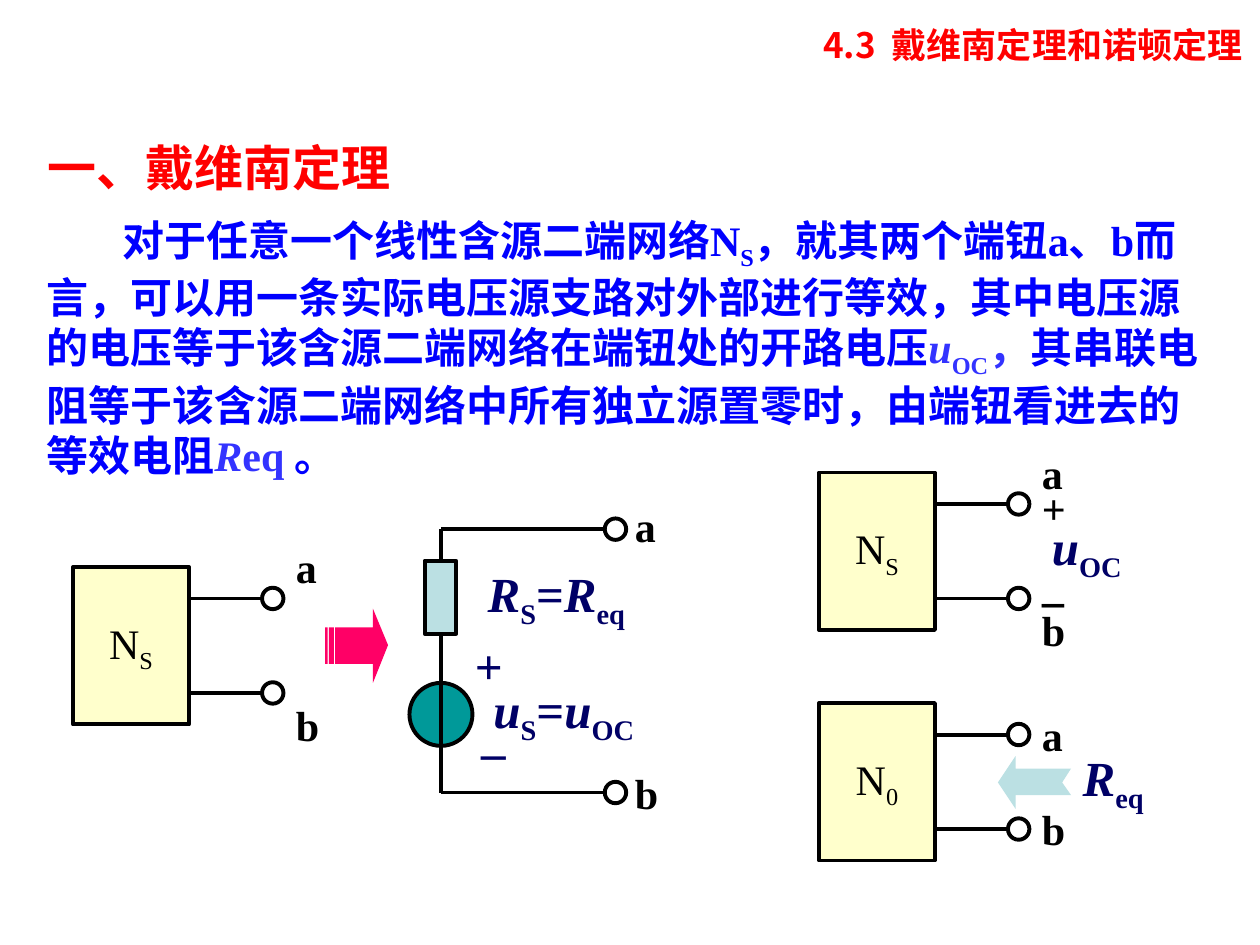
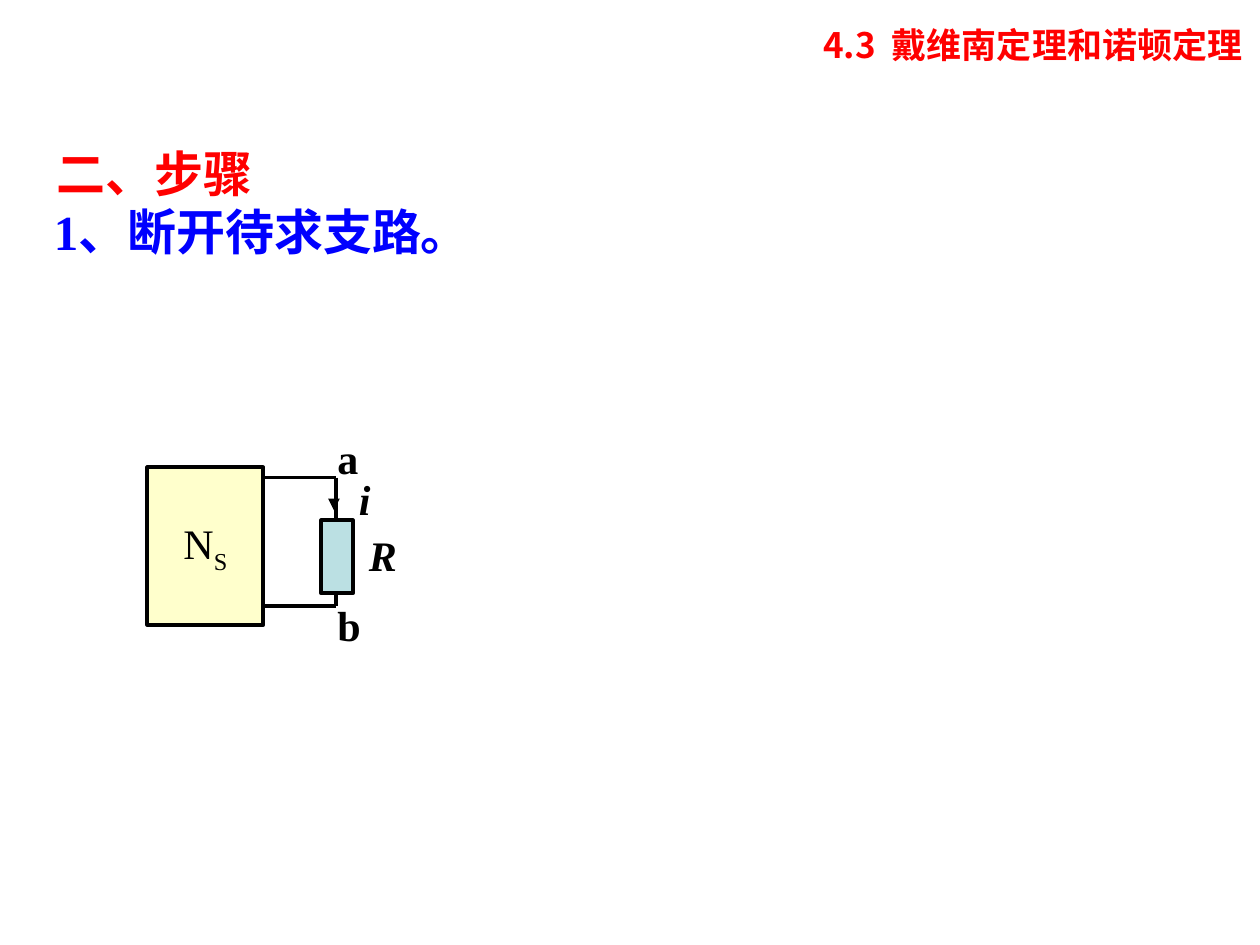
from dataclasses import dataclass
from typing import NamedTuple

from lxml import etree
from pptx import Presentation
from pptx.dml.color import RGBColor
from pptx.enum.shapes import MSO_CONNECTOR as CONNECTOR, MSO_SHAPE as SHAPE
from pptx.enum.text import MSO_ANCHOR as ANCHOR, PP_ALIGN as ALIGN
from pptx.oxml.ns import qn
from pptx.util import Inches, Pt

COLORS = {
    "black": "000000", "white": "FFFFFF", "red": "FF0000", "blue": "0000FF",
    "violet": "3333FF", "navy": "000066", "cream": "FFFFCC", "ice": "BBE0E3",
    "teal": "009999", "pink": "FF0066",
}
CJK, LATIN = "Noto Sans CJK SC", "Times New Roman"
LINE_WIDTH = Pt(2.25)
BOX_W, BOX_H = 0.92, 1.25
WIRE = 0.58
DOT = 0.17


class Box(NamedTuple):
    left: float
    top: float
    width: float
    height: float


class Style(NamedTuple):
    size: int
    color: str
    bold: bool = True
    font: str = LATIN


class Run(NamedTuple):
    text: str
    italic: bool = False
    sub: bool = False
    color: str = ""
    font: str = ""
    spacing: int = 0


@dataclass
class Network:
    """A two-terminal box; a_dy and b_dy place its labels below its top."""
    left: float
    top: float
    sub: str
    a_dy: float = -0.25
    b_dy: float = 1.0


HEADER = Style(20, "red", font=CJK)
HEADING = Style(28, "red", font=CJK)
BODY = Style(24, "blue")
STEP = Style(28, "blue")
FORMULA = Style(28, "navy")
TERMINAL = Style(24, "black")
NAME = Style(24, "black", bold=False)


def rgb(name: str) -> RGBColor:
    return RGBColor.from_string(COLORS[name])


def quantity(symbol: str, sub: str) -> list[Run]:
    return [Run(symbol, italic=True), Run(sub, sub=True)]


def add_runs(p, runs: list[Run], style: Style) -> None:
    for run in runs:
        r = p.add_run()
        r.text = run.text
        r.font.size = Pt(style.size)
        r.font.bold = style.bold
        r.font.italic = run.italic
        r.font.color.rgb = rgb(run.color or style.color)
        r.font.name = run.font or style.font
        rPr = r._r.get_or_add_rPr()
        etree.SubElement(rPr, qn("a:ea")).set("typeface", CJK)
        if run.sub:
            rPr.set("baseline", "-25000")
        if run.spacing:
            rPr.set("spc", str(run.spacing))


def add_text(slide, box: Box, runs: list[Run], style: Style, align=ALIGN.LEFT,
             anchor=ANCHOR.TOP, wrap: bool = True):
    tf = slide.shapes.add_textbox(*map(Inches, box)).text_frame
    tf.word_wrap = wrap
    tf.vertical_anchor = anchor
    p = tf.paragraphs[0]
    p.alignment = align
    add_runs(p, runs, style)
    return tf


def add_formula(slide, box: Box, runs: list[Run]) -> None:
    add_text(slide, box, runs, FORMULA, ALIGN.CENTER, ANCHOR.MIDDLE, wrap=False)


def add_label(slide, left: float, top: float, text: str, italic: bool = False):
    return add_text(slide, Box(left, top, 0.75, 0.5), [Run(text, italic)], TERMINAL)


def add_outlined(slide, kind, box: Box, fill: str):
    sp = slide.shapes.add_shape(kind, *map(Inches, box))
    sp.shadow.inherit = False
    sp.fill.solid()
    sp.fill.fore_color.rgb = rgb(fill)
    sp.line.color.rgb = rgb("black")
    sp.line.width = LINE_WIDTH
    return sp


def add_wire(slide, x1: float, y1: float, x2: float, y2: float, arrow: bool = False) -> None:
    wire = slide.shapes.add_connector(CONNECTOR.STRAIGHT, *map(Inches, (x1, y1, x2, y2)))
    wire.line.color.rgb = rgb("black")
    wire.line.width = LINE_WIDTH
    if arrow:
        etree.SubElement(wire.line._get_or_add_ln(), qn("a:tailEnd")).set("type", "triangle")
    etree.SubElement(wire._element.spPr, qn("a:effectLst"))


def add_terminal(slide, left: float, wire_y: float) -> None:
    add_outlined(slide, SHAPE.OVAL, Box(left, wire_y - DOT / 2, DOT, DOT), "white")


def add_resistor(slide, left: float, top: float) -> None:
    add_outlined(slide, SHAPE.RECTANGLE, Box(left, top, 0.25, 0.58), "ice")


def add_network_box(slide, left: float, top: float, sub: str) -> None:
    sp = add_outlined(slide, SHAPE.RECTANGLE, Box(left, top, BOX_W, BOX_H), "cream")
    tf = sp.text_frame
    tf.word_wrap = False
    tf.vertical_anchor = ANCHOR.MIDDLE
    p = tf.paragraphs[0]
    p.alignment = ALIGN.CENTER
    add_runs(p, [Run("N"), Run(sub, sub=True)], NAME)


def add_network(slide, net: Network) -> None:
    add_network_box(slide, net.left, net.top, net.sub)
    wire_x = net.left + BOX_W
    dot_x = wire_x + WIRE
    for text, wire_dy, label_dy in (("a", 0.25, net.a_dy), ("b", 1.0, net.b_dy)):
        wire_y = net.top + wire_dy
        add_wire(slide, wire_x, wire_y, dot_x, wire_y)
        add_terminal(slide, dot_x, wire_y)
        add_label(slide, dot_x + DOT, net.top + label_dy, text)


def add_outline(slide, contours: list[list[tuple[float, float]]], fill: str) -> None:
    """Draw closed contours, in slide inches, as one filled shape."""
    points = [[(Inches(x), Inches(y)) for x, y in contour] for contour in contours]
    builder = slide.shapes.build_freeform(*points[0][0])
    builder.add_line_segments(points[0][1:])
    for contour in points[1:]:
        builder.move_to(*contour[0])
        builder.add_line_segments(contour[1:])
    sp = builder.convert_to_shape()
    sp.shadow.inherit = False
    sp.fill.solid()
    sp.fill.fore_color.rgb = rgb(fill)
    sp.line.fill.background()


def add_striped_arrow(slide) -> None:
    top, bottom = 4.98, 5.27
    stripes = [[(x1, top), (x2, top), (x2, bottom), (x1, bottom)]
               for x1, x2 in ((2.58, 2.6), (2.61, 2.65))]
    head = [(2.66, top), (2.96, top), (2.96, 4.83), (3.08, 5.12),
            (2.96, 5.42), (2.96, bottom), (2.66, bottom)]
    add_outline(slide, [head, *stripes], "pink")


def add_notched_arrow(slide) -> None:
    add_outline(slide, [[(8.5, 6.1), (8.06, 6.1), (8.06, 6), (7.92, 6.21),
                         (8.06, 6.42), (8.06, 6.31), (8.5, 6.31), (8.43, 6.21)]], "ice")


def add_source_branch(slide) -> None:
    """Draw the equivalent voltage source in series with its resistor."""
    x, top, bottom, end = 3.5, 4.2, 6.29, 4.8
    add_outlined(slide, SHAPE.OVAL, Box(3.25, 5.42, 0.5, 0.5), "teal")
    add_formula(slide, Box(3.67, 4.99, 0.42, 0.57), [Run("+")])
    add_formula(slide, Box(3.72, 5.54, 0.39, 0.57), [Run("_")])
    add_formula(slide, Box(3.56, 5.34, 1.83, 0.63),
                [*quantity("u", "S"), Run("="), *quantity("u", "OC")])
    add_wire(slide, x, top, x, bottom)
    for text, y, label_y in (("a", top, 3.92), ("b", bottom, 6.04)):
        add_wire(slide, x, y, end, y)
        add_terminal(slide, end, y)
        add_label(slide, 4.94, label_y, text)
    add_formula(slide, Box(3.77, 4.42, 1.29, 0.63),
                [*quantity("R", "S"), Run("="), *quantity("R", "eq")])
    add_resistor(slide, 3.37, 4.45)


def new_slide(prs, heading: str, box: Box):
    slide = prs.slides.add_slide(prs.slide_layouts[6])
    add_text(slide, Box(1.46, 0.14, 8.5, 0.47),
             [Run("4.3"), Run(" ", spacing=450), Run("戴维南定理和诺顿定理")],
             HEADER, ALIGN.RIGHT)
    add_text(slide, box, [Run(heading)], HEADING, anchor=ANCHOR.MIDDLE)
    return slide


def build_theorem(prs) -> None:
    slide = new_slide(prs, "一、戴维南定理", Box(0.28, 0.91, 3.38, 0.83))
    statement = [
        Run("对于任意一个线性含源二端网络N"),
        Run("S", sub=True),
        Run("，就其两个端钮a、b而言，可以用一条实际电压源支路对外部进行等效，"
            "其中电压源的电压等于该含源二端网络在端钮处的开路电压"),
        Run("u", italic=True, color="violet"),
        Run("OC", sub=True, color="violet"),
        Run("，", color="violet"),
        Run("其串联电阻等于该含源二端网络中所有独立源置零时，由端钮看进去的等效电阻"),
        Run("R", italic=True, color="violet"),
        Run("eq ", color="violet"),
        Run("。"),
    ]
    tf = add_text(slide, Box(0.27, 1.65, 9.42, 2.21), statement, BODY)
    tf.paragraphs[0]._p.get_or_add_pPr().set("indent", str(Inches(0.6)))

    for net in (Network(6.5, 5.58, "0", a_dy=0, b_dy=0.75),
                Network(6.5, 3.75, "S"),
                Network(0.58, 4.5, "S")):
        add_network(slide, net)

    add_notched_arrow(slide)
    add_formula(slide, Box(8.42, 5.88, 0.83, 0.63), quantity("R", "eq"))

    polarity = add_label(slide, 8.17, 3.78, "+")
    minus = polarity.add_paragraph()
    minus.space_before = Pt(15)
    add_runs(minus, [Run("_", font=CJK)], TERMINAL)
    add_formula(slide, Box(8, 4.05, 1.25, 0.63), quantity("u", "OC"))

    add_source_branch(slide)
    add_striped_arrow(slide)


def build_steps(prs) -> None:
    slide = new_slide(prs, "二、步骤", Box(0.35, 0.91, 2.95, 0.92))
    add_text(slide, Box(0.33, 1.55, 9.42, 0.57), [Run("1、断开待求支路。")], STEP)

    left, branch_x, top, bottom = 1.17, 2.67, 3.79, 4.81
    add_network_box(slide, left, 3.71, "S")
    for y in (top, bottom):
        add_wire(slide, left + BOX_W, y, branch_x, y)
    add_wire(slide, branch_x, top, branch_x, bottom)
    add_resistor(slide, 2.55, 4.13)
    add_wire(slide, 2.65, 3.96, 2.65, 4.05, arrow=True)
    add_label(slide, 2.58, 3.38, "a")
    add_label(slide, 2.58, 4.71, "b")
    add_label(slide, 2.83, 4.15, "R", italic=True)
    add_label(slide, 2.75, 3.71, "i", italic=True)


def main() -> None:
    prs = Presentation()
    prs.slide_width, prs.slide_height = Inches(10), Inches(7.5)
    build_theorem(prs)
    build_steps(prs)
    prs.save("out.pptx")


if __name__ == "__main__":
    main()
